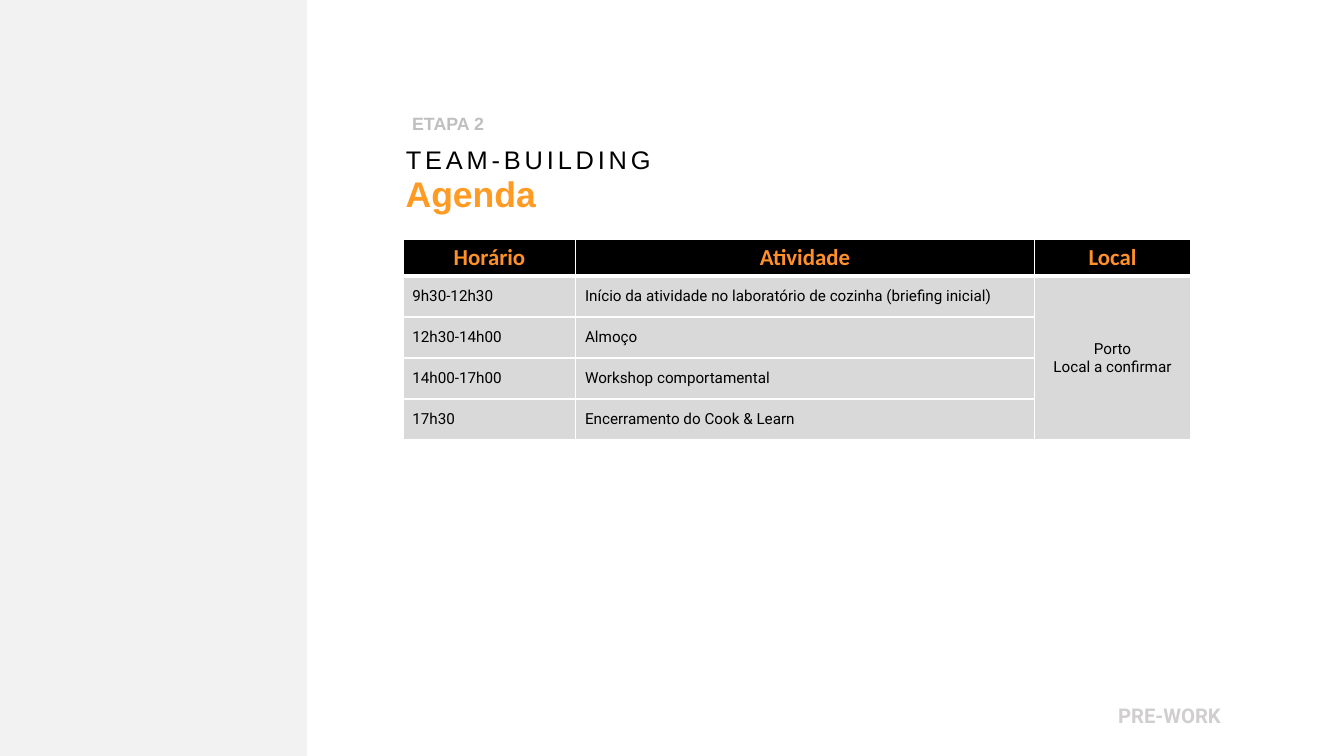
from lxml import etree
from pptx import Presentation
from pptx.dml.color import RGBColor
from pptx.enum.shapes import MSO_SHAPE
from pptx.enum.text import MSO_ANCHOR, MSO_AUTO_SIZE, PP_ALIGN
from pptx.oxml.ns import qn
from pptx.util import Cm, Pt

LEFT, CENTER, RIGHT = PP_ALIGN.LEFT, PP_ALIGN.CENTER, PP_ALIGN.RIGHT
TOP, MIDDLE = MSO_ANCHOR.TOP, MSO_ANCHOR.MIDDLE
RECTANGLE = MSO_SHAPE.RECTANGLE
NO_AUTOFIT = MSO_AUTO_SIZE.NONE


def color(hex_string):
    return RGBColor.from_string(hex_string)


def write(text_frame, text, font_name, size, hex_string, bold, alignment):
    text_frame.text = text
    text_frame.word_wrap = True
    for paragraph in text_frame.paragraphs:
        paragraph.alignment = alignment
        for run in paragraph.runs:
            run.font.name = font_name
            run.font.size = Pt(size)
            run.font.bold = bold
            run.font.color.rgb = color(hex_string)


presentation = Presentation()
presentation.slide_width = Cm(37.34)
presentation.slide_height = Cm(21)
slide = presentation.slides.add_slide(presentation.slide_layouts[5])

# Grey side panel
panel = slide.shapes.add_shape(RECTANGLE, 0, 0, Cm(8.53), Cm(21))
panel.shadow.inherit = False
panel.fill.solid()
panel.fill.fore_color.rgb = color("F2F2F2")
panel.line.fill.background()

# Title with wide letter spacing
title = slide.shapes.title
title.left, title.top, title.width, title.height = Cm(11.02), Cm(3.61), Cm(9.09), Cm(1.65)
write(title.text_frame, "TEAM-BUILDING", "Arial", 20, "000000", False, LEFT)
title.text_frame.auto_size = NO_AUTOFIT
title.text_frame.vertical_anchor = MIDDLE
title.text_frame.paragraphs[0].runs[0].font._element.set("spc", "300")

# Subtitle, stage label and footer
labels = [
    ("Agenda", 11.02, 4.65, 21.03, 1.45, "Arial", 28, "FF9B23", LEFT),
    ("ETAPA 2", 11.2, 3, 8.38, 1.12, "Arial", 14, "BFBFBF", LEFT),
    ("PRE-WORK", 20.17, 19.41, 14, 0.94, "Roboto", 16, "D0CECE", RIGHT),
]
for text, left, top, width, height, font_name, size, hex_string, alignment in labels:
    box = slide.shapes.add_textbox(Cm(left), Cm(top), Cm(width), Cm(height))
    write(box.text_frame, text, font_name, size, hex_string, True, alignment)

# Agenda table
rows = [
    ("Horário", "Atividade", "Local"),
    ("9h30-12h30", "Início da atividade no laboratório de cozinha (briefing inicial)",
     "Porto\nLocal a confirmar"),
    ("12h30-14h00", "Almoço", ""),
    ("14h00-17h00", "Workshop comportamental", ""),
    ("17h30", "Encerramento do Cook & Learn", ""),
]
column_widths = [4.8, 12.73, 4.36]
header_height, row_height = 1, 1.14
table = slide.shapes.add_table(
    len(rows), len(column_widths), Cm(11.2), Cm(6.65), Cm(sum(column_widths)),
    Cm(header_height + row_height * (len(rows) - 1))).table
for column, width in zip(table.columns, column_widths):
    column.width = Cm(width)

for row_index, row in enumerate(rows):
    is_header = row_index == 0
    table.rows[row_index].height = Cm(header_height if is_header else row_height)
    for column_index, text in enumerate(row):
        cell = table.cell(row_index, column_index)
        if is_header:
            write(cell.text_frame, text, "Calibri", 18, "FF912B", True, CENTER)
        else:
            alignment = CENTER if column_index == 2 else LEFT
            write(cell.text_frame, text, "Roboto", 12, "000000", False, alignment)
        cell.vertical_anchor = TOP if is_header else MIDDLE

        # White borders, thicker under the header
        properties = cell._tc.get_or_add_tcPr()
        for side in ("lnL", "lnR", "lnT", "lnB"):
            under_header = (row_index, side) in ((0, "lnB"), (1, "lnT"))
            border = etree.SubElement(properties, qn(f"a:{side}"),
                                      w=str(Pt(3 if under_header else 1)))
            fill = etree.SubElement(border, qn("a:solidFill"))
            etree.SubElement(fill, qn("a:srgbClr"), val="FFFFFF")
        cell.fill.solid()
        cell.fill.fore_color.rgb = color("000000" if is_header else "D9D9D9")

# One location for all activities
table.cell(1, 2).merge(table.cell(len(rows) - 1, 2))

presentation.save("out.pptx")
